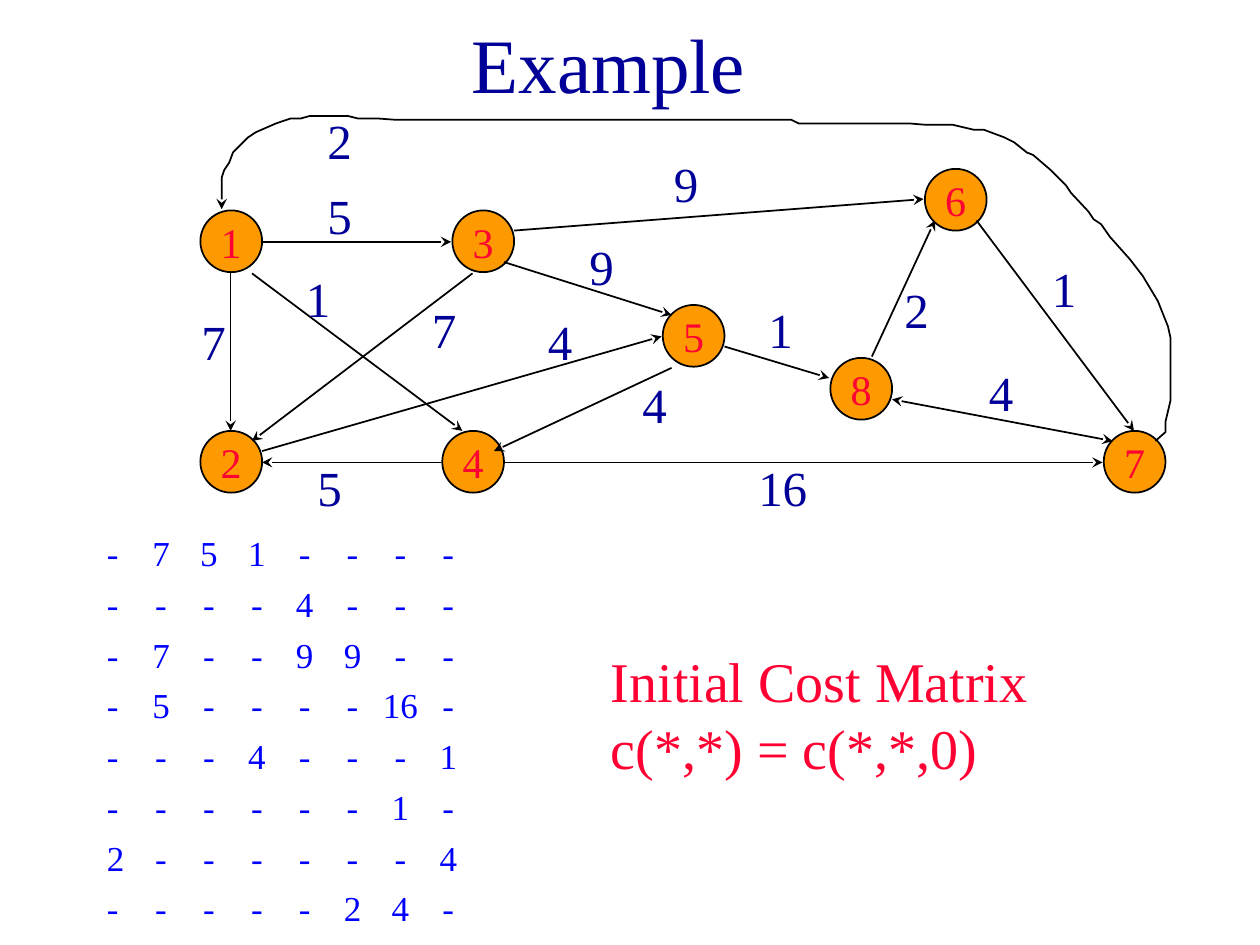
from dataclasses import dataclass

from lxml.etree import SubElement
from pptx import Presentation
from pptx.dml.color import RGBColor
from pptx.enum.shapes import MSO_CONNECTOR, MSO_SHAPE
from pptx.enum.text import MSO_ANCHOR, MSO_AUTO_SIZE, PP_ALIGN
from pptx.oxml.ns import qn
from pptx.util import Inches, Pt

FONT = "Times New Roman"
NAVY, BLUE, RED, ORANGE, BLACK = "000099", "0000FF", "FF0033", "FF9900", "000000"
NODE_SIZE = 0.49
COLUMN_PITCH = 0.38

Point = tuple[float, float]


@dataclass
class Edge:
    start: Point
    end: Point
    cost: str
    cost_at: Point
    cost_width: float = 0.42
    two_way: bool = False


NODES: dict[str, Point] = {
    "1": (1.59, 1.67), "2": (1.59, 3.42), "3": (3.59, 1.67), "4": (3.51, 3.42),
    "5": (5.26, 2.42), "6": (7.34, 1.34), "7": (8.76, 3.42), "8": (6.59, 2.84),
}

EDGES = [
    Edge((1.83, 2.17), (1.83, 3.42), "7", (1.5, 2.42)),
    Edge((3.5, 3.67), (2.08, 3.67), "5", (2.42, 3.58)),
    Edge((2.08, 1.92), (3.58, 1.92), "5", (2.5, 1.42)),
    Edge((2, 2.17), (3.67, 3.42), "1", (2.33, 2.08), 0.67),
    Edge((3.75, 2.17), (2, 3.5), "7", (3.33, 2.33)),
    Edge((4, 2.08), (5.33, 2.5), "9", (4.58, 1.83)),
    Edge((2.08, 3.58), (5.25, 2.67), "4", (4.25, 2.42)),
    Edge((5.33, 2.92), (3.92, 3.58), "4", (5, 2.92)),
    Edge((4, 3.67), (8.75, 3.67), "16", (5.92, 3.58), 0.83),
    Edge((5.75, 2.75), (6.58, 3), "1", (6, 2.33), 0.67),
    Edge((4.08, 1.83), (7.33, 1.58), "9", (5.25, 1.17)),
    Edge((7.75, 1.75), (9, 3.42), "1", (8.25, 2)),
    Edge((7.08, 3.17), (8.83, 3.5), "4", (7.75, 2.83), two_way=True),
    Edge((6.92, 2.83), (7.42, 1.75), "2", (7.08, 2.17)),
]

RETURN_ROUTE: list[Point] = [
    (9.17, 3.5), (9.25, 3.43), (9.25, 3.35), (9.29, 3.18), (9.29, 2.68),
    (9.27, 2.59), (9.19, 2.39), (9.07, 2.19), (8.97, 2.06), (8.81, 1.88),
    (8.74, 1.78), (8.68, 1.74), (8.64, 1.68), (8.5, 1.53), (8.46, 1.47),
    (8.34, 1.35), (8.2, 1.23), (8.15, 1.21), (8.05, 1.13), (7.97, 1.09),
    (7.81, 1.03), (7.73, 1.03), (7.56, 0.99), (7.34, 0.99), (7.22, 0.98),
    (6.34, 0.98), (6.28, 0.95), (3.13, 0.95), (2.99, 0.94), (2.84, 0.94),
    (2.76, 0.92), (2.46, 0.92), (2.39, 0.94), (2.31, 0.94), (2.19, 0.98),
    (2.03, 1.05), (1.97, 1.09), (1.85, 1.21), (1.82, 1.29), (1.78, 1.35),
    (1.76, 1.41), (1.76, 1.66),
]

COSTS = [
    "- 7 5 1 - - - -",
    "- - - - 4 - - -",
    "- 7 - - 9 9 - -",
    "- 5 - - - - 16 -",
    "- - - 4 - - - 1",
    "- - - - - - 1 -",
    "2 - - - - - - 4",
    "- - - - - 2 4 -",
]


def rgb(value: str) -> RGBColor:
    return RGBColor.from_string(value)


def format_text(frame, size: float, color: str, space_before: float = 0) -> None:
    for paragraph in frame.paragraphs:
        paragraph.space_before = Pt(space_before)
        for run in paragraph.runs:
            run.font.name = FONT
            run.font.size = Pt(size)
            run.font.color.rgb = rgb(color)


def add_text(shapes, text: str, at: Point, size: Point, points: float,
             color: str, space_before: float = 0):
    """Add a wrapping text box and return its text frame."""
    frame = shapes.add_textbox(*map(Inches, at + size)).text_frame
    frame.word_wrap = True
    frame.text = text
    format_text(frame, points, color, space_before)
    return frame


def add_cost(shapes, cost: str, at: Point, width: float = 0.42) -> None:
    frame = add_text(shapes, cost, at, (width, 0.57), 28, NAVY, 17.5)
    frame.auto_size = MSO_AUTO_SIZE.SHAPE_TO_FIT_TEXT


def add_node(shapes, number: str, at: Point) -> None:
    node = shapes.add_shape(MSO_SHAPE.OVAL, *map(Inches, at + (NODE_SIZE, NODE_SIZE)))
    node.shadow.inherit = False
    node.fill.solid()
    node.fill.fore_color.rgb = rgb(ORANGE)
    node.line.color.rgb = rgb(BLACK)
    node.line.width = Pt(1)
    frame = node.text_frame
    frame.margin_left = frame.margin_right = frame.margin_top = frame.margin_bottom = 0
    frame.vertical_anchor = MSO_ANCHOR.MIDDLE
    frame.word_wrap = False
    frame.text = number
    frame.paragraphs[0].alignment = PP_ALIGN.CENTER
    format_text(frame, 24, RED)


def style_arrow(arrow, two_way: bool = False) -> None:
    arrow.line.color.rgb = rgb(BLACK)
    arrow.line.width = Pt(1)
    properties = arrow._element.spPr
    outline = properties.find(qn("a:ln"))
    for end in ("a:headEnd", "a:tailEnd") if two_way else ("a:tailEnd",):
        SubElement(outline, qn(end), type="stealth")
    if properties.find(qn("a:effectLst")) is None:
        SubElement(properties, qn("a:effectLst"))


def add_edge(shapes, edge: Edge) -> None:
    arrow = shapes.add_connector(MSO_CONNECTOR.STRAIGHT, *map(Inches, edge.start + edge.end))
    style_arrow(arrow, edge.two_way)
    add_cost(shapes, edge.cost, edge.cost_at, edge.cost_width)


def add_return_route(shapes) -> None:
    start, *rest = [(Inches(x), Inches(y)) for x, y in RETURN_ROUTE]
    builder = shapes.build_freeform(*start)
    builder.add_line_segments(rest, close=False)
    route = builder.convert_to_shape()
    route.fill.background()
    style_arrow(route)
    add_cost(shapes, "2", (2.5, 0.83))


def add_matrix(shapes) -> None:
    rows = "\n".join("\t".join(row.split()) for row in COSTS)
    matrix = add_text(shapes, rows, (0.75, 4.17), (8.5, 3.25), 20, BLUE, 5)
    for paragraph in matrix.paragraphs:
        stops = SubElement(paragraph._p.get_or_add_pPr(), qn("a:tabLst"))
        for column in range(1, len(COSTS)):
            position = Inches(0.05 + COLUMN_PITCH * column)
            SubElement(stops, qn("a:tab"), pos=str(position), algn="ctr")


def main() -> None:
    deck = Presentation()
    deck.slide_width, deck.slide_height = Inches(10), Inches(7.5)
    slide = deck.slides.add_slide(deck.slide_layouts[6])

    title = add_text(slide.shapes, "Example", (0.58, 0), (8.5, 1), 44, NAVY)
    title.vertical_anchor = MSO_ANCHOR.MIDDLE
    title.paragraphs[0].alignment = PP_ALIGN.CENTER
    add_matrix(slide.shapes)

    graph = slide.shapes.add_group_shape().shapes
    for number, at in NODES.items():
        add_node(graph, number, at)
    for edge in EDGES:
        add_edge(graph, edge)
    add_return_route(graph)

    add_text(slide.shapes, "Initial Cost Matrix c(*,*) = c(*,*,0)",
             (4.75, 5.08), (3.75, 1.17), 32, RED, 20)
    deck.save("out.pptx")


if __name__ == "__main__":
    main()
